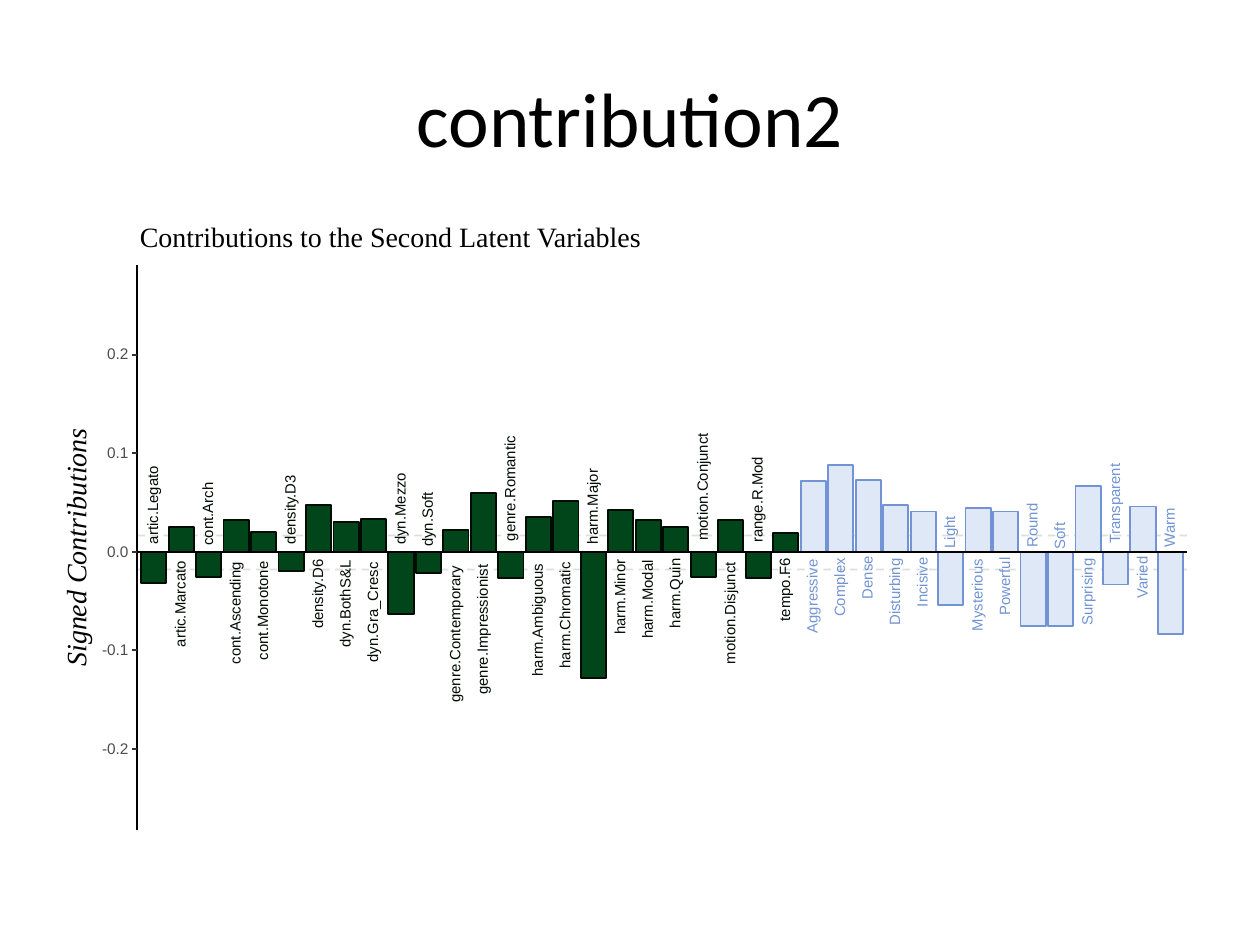
from lxml.etree import SubElement
from pptx import Presentation
from pptx.dml.color import RGBColor
from pptx.enum.dml import MSO_LINE
from pptx.enum.shapes import MSO_CONNECTOR, MSO_SHAPE
from pptx.enum.text import MSO_ANCHOR, PP_ALIGN
from pptx.oxml.ns import qn
from pptx.util import Inches, Pt

COLORS = {"black": "000000", "white": "FFFFFF", "green": "00461A", "ink": "000C02",
          "pale": "DFE8F6", "blue": "7294D4", "threshold": "BEBEBE",
          "tick": "333333", "number": "4D4D4D"}
LINE_WIDTH = 1.07

MUSIC = [
    ("artic.Legato", -0.25, 0.62), ("artic.Marcato", 0.2, 0.69),
    ("cont.Arch", -0.2, 0.5), ("cont.Ascending", 0.25, 0.81),
    ("cont.Monotone", 0.16, 0.78), ("density.D3", -0.15, 0.56),
    ("density.D6", 0.37, 0.56), ("dyn.BothS&L", 0.24, 0.69),
    ("dyn.Gra_Cresc", 0.26, 0.8), ("dyn.Mezzo", -0.49, 0.57),
    ("dyn.Soft", -0.17, 0.43), ("genre.Contemporary", 0.17, 1.09),
    ("genre.Impressionist", 0.47, 1.03), ("genre.Romantic", -0.21, 0.84),
    ("harm.Ambiguous", 0.28, 0.9), ("harm.Chromatic", 0.4, 0.84),
    ("harm.Major", -1, 0.6), ("harm.Minor", 0.33, 0.6),
    ("harm.Modal", 0.25, 0.63), ("harm.Quin", 0.2, 0.55),
    ("motion.Conjunct", -0.2, 0.86), ("motion.Disjunct", 0.25, 0.81),
    ("range.R.Mod", -0.21, 0.69), ("tempo.F6", 0.15, 0.5)]
ADJECTIVES = [
    ("Aggressive", 0.56, 0.59), ("Complex", 0.69, 0.47), ("Dense", 0.57, 0.34),
    ("Disturbing", 0.37, 0.53), ("Incisive", 0.32, 0.4), ("Light", -0.42, 0.26),
    ("Mysterious", 0.35, 0.57), ("Powerful", 0.32, 0.46), ("Round", -0.59, 0.35),
    ("Soft", -0.59, 0.21), ("Surprising", 0.52, 0.53), ("Transparent", -0.26, 0.64),
    ("Varied", 0.36, 0.34), ("Warm", -0.65, 0.32)]


def rgb(name):
    """Return the named colour."""
    return RGBColor.from_string(COLORS[name])


def add_text(shapes, text, x, y, w, h, size=8.5, font="Arial", color="black",
             italic=False, rotation=0, align=PP_ALIGN.LEFT, wrap=False, exact=True):
    """Place one line of text in a box without margins."""
    tb = shapes.add_textbox(Inches(x), Inches(y), Inches(w), Inches(h))
    tb.rotation = rotation
    tf = tb.text_frame
    tf.word_wrap = wrap
    tf.vertical_anchor = MSO_ANCHOR.MIDDLE
    tf.margin_left = tf.margin_right = tf.margin_top = tf.margin_bottom = 0
    p = tf.paragraphs[0]
    p.alignment = align
    if exact:
        p.line_spacing = Pt(size)
    r = p.add_run()
    r.text = text
    r.font.size, r.font.name, r.font.italic = Pt(size), font, italic
    r.font.color.rgb = rgb(color)


def add_line(shapes, x1, y1, x2, y2, color="black", dashed=False):
    """Draw a straight line, or a half-transparent dashed one."""
    ln = shapes.add_connector(MSO_CONNECTOR.STRAIGHT, *map(Inches, (x1, y1, x2, y2)))
    ln.line.width = Pt(LINE_WIDTH)
    ln.line.color.rgb = rgb(color)
    if dashed:
        ln.line.dash_style = MSO_LINE.DASH
        clr = next(ln._element.spPr.iter(qn("a:srgbClr")))
        SubElement(clr, qn("a:alpha"), val="50000")
    SubElement(ln._element.spPr, qn("a:effectLst"))


def add_rect(shapes, x, y, w, h, fill, line, width=LINE_WIDTH):
    """Draw a filled rectangle with an outline."""
    sp = shapes.add_shape(MSO_SHAPE.RECTANGLE, *map(Inches, (x, y, w, h)))
    sp.shadow.inherit = False
    sp.fill.solid()
    sp.fill.fore_color.rgb = rgb(fill)
    sp.line.color.rgb = rgb(line)
    sp.line.width = Pt(width)


def add_bar_label(shapes, name, center, zero, height, length):
    """Write a vertical label on the side of zero opposite its bar."""
    thick = 0.11 if set(name) & set("gjpy") else 0.09
    middle = zero + (0.6 if height > 0 else -0.6) * length
    room = length + 0.04
    add_text(shapes, name, center - room / 2, middle - thick / 2, room, thick,
             color="ink" if "." in name else "blue", rotation=270,
             align=PP_ALIGN.CENTER)


def add_contributions(s, x, y, w, h):
    """Draw the signed bar plot with its axes in the given box."""
    shapes = s.shapes.add_group_shape().shapes
    left, right, zero = x + 0.59, x + w - 0.08, y + 2.63
    first, last = x + 0.62, x + w - 0.31
    bars = MUSIC + ADJECTIVES
    pitch = (last - first) / (len(bars) - 1)
    for width in (0.75, LINE_WIDTH):
        add_rect(shapes, x, y, w, h, "white", "white", width)
    for offset in (-0.13, 0.14):
        add_line(shapes, left, zero + offset, right, zero + offset, "threshold", True)
    for i, (name, height, length) in enumerate(bars):
        fill, line = ("green", "ink") if i < len(MUSIC) else ("pale", "blue")
        add_rect(shapes, first + i * pitch, zero - max(height, 0), 0.2, abs(height),
                 fill, line)
    for i, (name, height, length) in enumerate(bars):
        add_bar_label(shapes, name, first + i * pitch + 0.1, zero, height, length)
    add_line(shapes, left, zero, right, zero)
    add_line(shapes, left, y + h - 0.11, left, y + 0.35)
    for tick in range(-2, 3):
        level = zero - tick * 3.13 / 4
        width = 0.21 if tick < 0 else 0.17
        add_text(shapes, f"{tick / 10:.1f}", left - 0.07 - width, level - 0.04,
                 width, 0.09, size=8.8, color="number")
        add_line(shapes, left - 0.04, level, left, level, "tick")
    add_text(shapes, "Signed Contributions", x - 0.83, y + 2.49, 1.9, 0.2, size=16,
             font="Times New Roman", italic=True, rotation=270)
    add_text(shapes, "Contributions to the Second Latent Variables", left + 0.02,
             y + 0.07, 4.02, 0.16, size=16, font="Times New Roman")


def add_title(s, x, y, w, h):
    """Write the centred slide title in the given box."""
    add_text(s.shapes, "contribution2", x, y, w, h, size=44, font="Calibri",
             align=PP_ALIGN.CENTER, wrap=True, exact=False)


prs = Presentation()
prs.slide_width, prs.slide_height = Inches(10), Inches(7.5)
s = prs.slides.add_slide(prs.slide_layouts[6])
add_title(s, 0.5, 0.3, 9, 1.25)
add_contributions(s, 0.5, 1.75, 9, 4.95)
prs.save("out.pptx")
